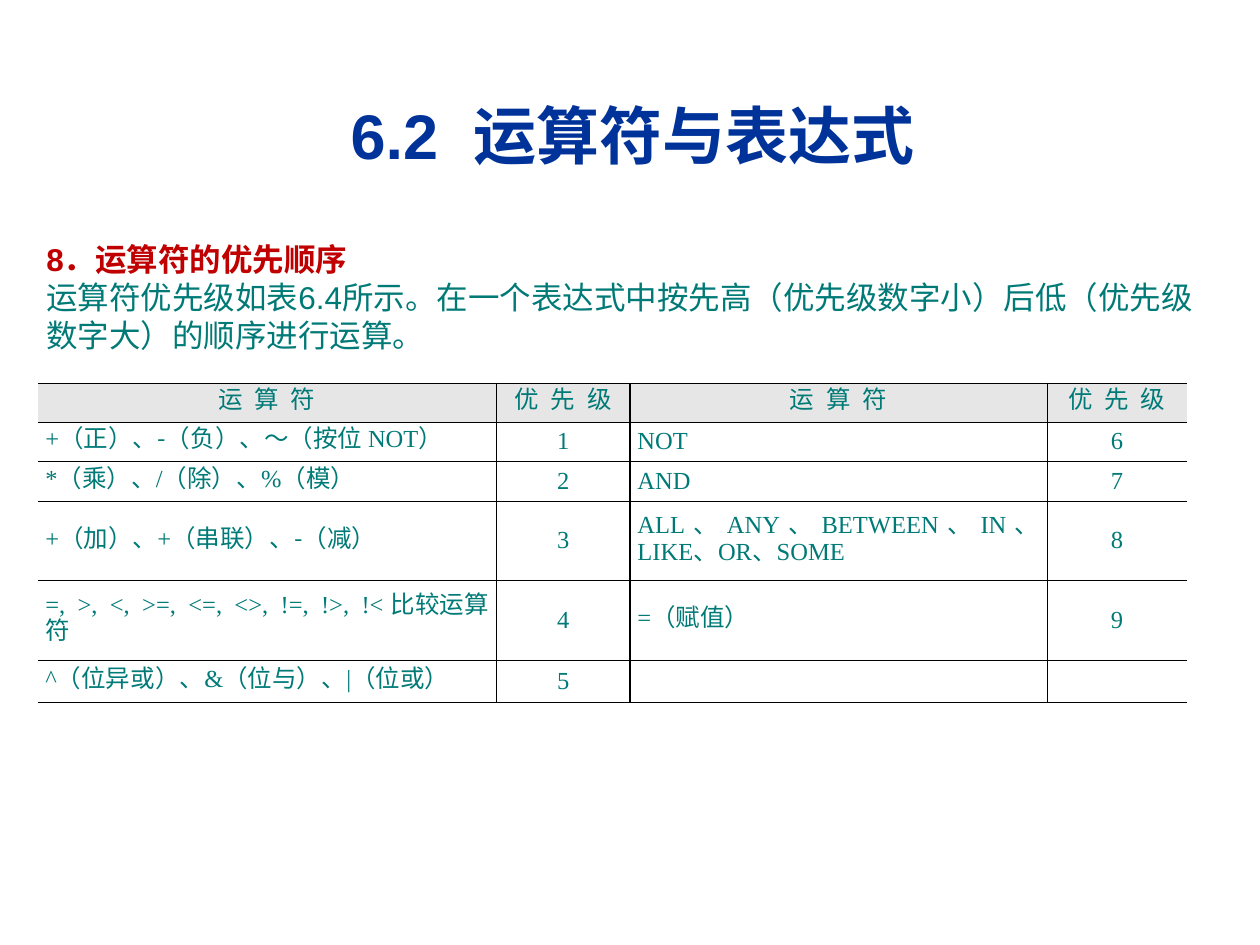
"""Builds the slide on operators and their order of precedence."""
from dataclasses import dataclass

import pptx
import pptx.dml.color
import pptx.enum.text
import pptx.oxml
import pptx.oxml.ns
import pptx.util
from pptx.util import Inches

ALIGN = pptx.enum.text.PP_ALIGN
MIDDLE = pptx.enum.text.MSO_ANCHOR.MIDDLE


@dataclass(frozen=True)
class Theme:
    """Colours, fonts and sizes of the slide."""

    title: str = "003399"
    heading: str = "C00000"
    body: str = "007A77"
    header_fill: str = "E6E6E6"
    rule: str = "000000"
    sans: str = "Arial"
    serif: str = "Times New Roman"
    chinese: str = "Noto Sans CJK SC"
    title_size: int = 36
    body_size: int = 18
    table_size: int = 14
    table_leading: int = 15
    thin: float = 0.45
    thick: float = 0.75


THEME = Theme()
HEADER = ["运 算 符", "优 先 级"] * 2
PRECEDENCE = [
    ["+（正）、-（负）、～（按位 NOT）", "1", "NOT", "6"],
    ["*（乘）、/（除）、%（模）", "2", "AND", "7"],
    ["+（加）、+（串联）、-（减）", "3", "ALL、ANY、BETWEEN、IN、LIKE、OR、SOME", "8"],
    ["=,  >,  <,  >=,  <=,  <>,  !=,  !>,  !< 比较运算符", "4", "=（赋值）", "9"],
    ["^（位异或）、&（位与）、|（位或）", "5", "", ""],
]
COLUMN_WIDTHS = [3.64, 1.06, 3.31, 1.11]
ROW_HEIGHTS = [0.31, 0.31, 0.32, 0.63, 0.63, 0.31]


def add_run(paragraph, text, size, face, color, bold=False, tracking=0):
    """Append a styled run, with tracking in points."""
    run = paragraph.add_run()
    run.text = text
    style = {"size": pptx.util.Pt(size), "name": face, "bold": bold}
    for attribute, value in style.items():
        setattr(run.font, attribute, value)
    run.font.color.rgb = pptx.dml.color.RGBColor.from_string(color)
    properties = run._r.get_or_add_rPr()
    if tracking:
        properties.set("spc", str(round(tracking * 100)))
    east_asian = pptx.oxml.parse_xml(
        f'<a:ea {pptx.oxml.ns.nsdecls("a")} typeface="{THEME.chinese}"/>'
    )
    properties.find(pptx.oxml.ns.qn("a:latin")).addnext(east_asian)


def add_title(slide, left, top, width, height):
    """Place the centred section title."""
    frame = slide.shapes.add_textbox(left, top, width, height).text_frame
    frame.word_wrap = True
    frame.vertical_anchor = MIDDLE
    title = frame.paragraphs[0]
    title.alignment = ALIGN.CENTER
    for text, tracking in (("6.2", 0), (" ", 10), ("运算符与表达式", 0)):
        add_run(title, text, THEME.title_size, THEME.sans, THEME.title, True, tracking)


def add_explanation(slide, left, top, width, height):
    """Place the red heading and the explanation below it."""
    frame = slide.shapes.add_textbox(left, top, width, height).text_frame
    frame.word_wrap = True
    heading, explanation = frame.paragraphs[0], frame.add_paragraph()
    add_run(heading, "8．运算符的优先顺序", THEME.body_size, THEME.sans, THEME.heading, True)
    add_run(
        explanation,
        "运算符优先级如表6.4所示。在一个表达式中按先高（优先级数字小）后低（优先级数字大）的顺序进行运算。",
        THEME.body_size, THEME.sans, THEME.body,
    )


def set_borders(cell, column):
    """Rule a cell on all sides but the table's outer left and right."""
    last = len(COLUMN_WIDTHS) - 1
    edge_widths = [0, THEME.thin, THEME.thick, THEME.thin, 0]
    widths = {
        "lnL": edge_widths[column],
        "lnR": edge_widths[min(column, last) + 1],
        "lnT": THEME.thin,
        "lnB": THEME.thin,
    }
    properties = cell._tc.get_or_add_tcPr()
    for position, (side, width) in enumerate(widths.items()):
        paint = (
            f'<a:solidFill><a:srgbClr val="{THEME.rule}"/></a:solidFill>'
            if width else "<a:noFill/>"
        )
        border = pptx.oxml.parse_xml(
            f'<a:{side} {pptx.oxml.ns.nsdecls("a")} w="{pptx.util.Pt(width)}">'
            f"{paint}</a:{side}>"
        )
        properties.insert(position, border)


def fill_cell(cell, text, row, column):
    """Write, fill and rule one cell of the precedence table."""
    layout = {
        "vertical_anchor": MIDDLE,
        "margin_left": Inches(0.06),
        "margin_right": Inches(0.06),
        "margin_top": Inches(0.05),
        "margin_bottom": Inches(0.05),
    }
    for attribute, value in layout.items():
        setattr(cell, attribute, value)
    is_header = row == 0
    if is_header:
        cell.fill.solid()
        cell.fill.fore_color.rgb = pptx.dml.color.RGBColor.from_string(THEME.header_fill)
    else:
        cell.fill.background()
    paragraph = cell.text_frame.paragraphs[0]
    paragraph.alignment = ALIGN.CENTER if is_header or column % 2 else ALIGN.JUSTIFY
    paragraph.line_spacing = pptx.util.Pt(THEME.table_leading)
    for piece in filter(None, text.partition("-")):
        face = THEME.chinese if piece == "-" else THEME.serif
        add_run(paragraph, piece, THEME.table_size, face, THEME.body,
                tracking=1.75 if is_header else 0)
    ending = paragraph._p.get_or_add_endParaRPr()
    ending.set("sz", str(THEME.table_size * 100))
    set_borders(cell, column)


def add_precedence_table(slide, left, top, width, height):
    """Place the table of operators and their precedence."""
    rows = [HEADER] + PRECEDENCE
    table = slide.shapes.add_table(
        len(rows), len(HEADER), left, top, width, height
    ).table
    table.first_row = False
    table.horz_banding = False
    for column, column_width in zip(table.columns, COLUMN_WIDTHS):
        column.width = Inches(column_width)
    for table_row, row_height in zip(table.rows, ROW_HEIGHTS):
        table_row.height = Inches(row_height)
    for row, texts in enumerate(rows):
        for column, text in enumerate(texts):
            fill_cell(table.cell(row, column), text, row, column)


def main():
    """Build and save the presentation."""
    presentation = pptx.Presentation()
    presentation.slide_width = Inches(10)
    presentation.slide_height = Inches(7.5)
    slide = presentation.slides.add_slide(presentation.slide_layouts[6])
    add_title(slide, Inches(0.35), Inches(0.44), Inches(9.34), Inches(1.25))
    add_explanation(slide, Inches(0.27), Inches(1.86), Inches(9.45), Inches(1.3))
    add_precedence_table(slide, Inches(0.3), Inches(3.04), Inches(9.12), Inches(2.52))
    presentation.save("out.pptx")


if __name__ == "__main__":
    main()
